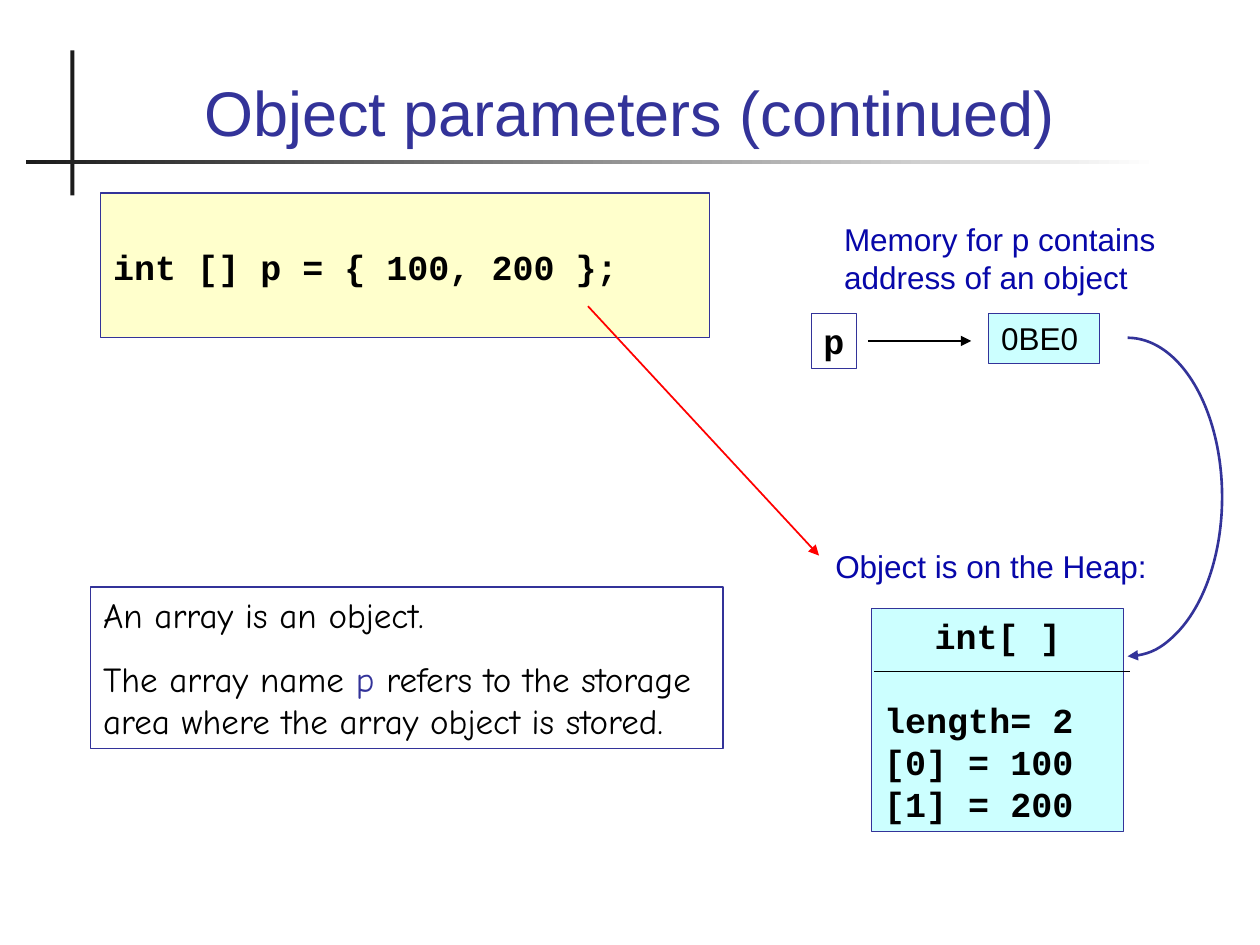
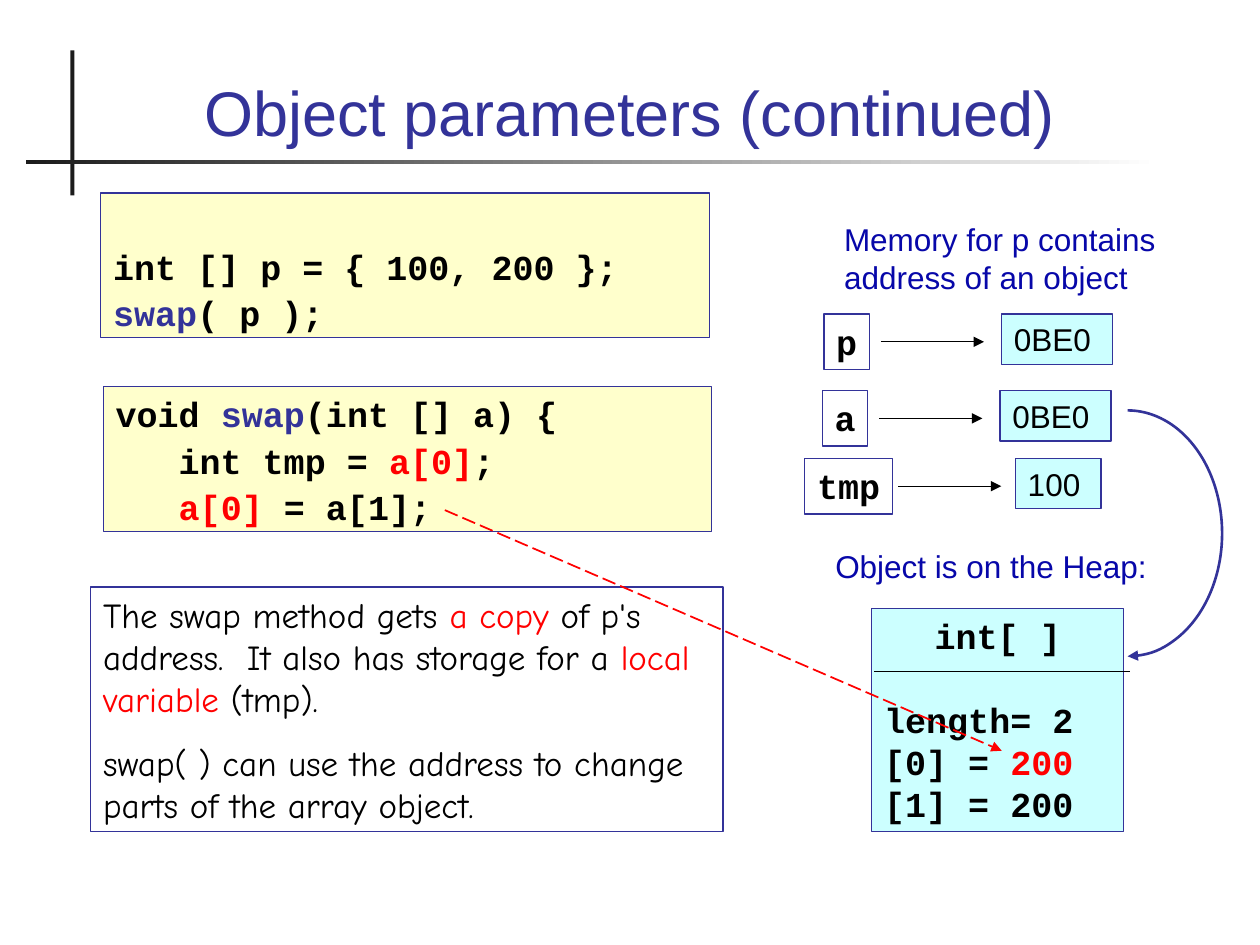
from lxml import etree
from pptx import Presentation
from pptx.dml.color import RGBColor
from pptx.enum.dml import MSO_LINE
from pptx.enum.shapes import MSO_CONNECTOR, MSO_SHAPE
from pptx.enum.text import MSO_ANCHOR, PP_ALIGN
from pptx.oxml.ns import qn
from pptx.util import Pt

RECT, ARC = MSO_SHAPE.RECTANGLE, MSO_SHAPE.ARC
STRAIGHT = MSO_CONNECTOR.STRAIGHT
LEFT, CENTER = PP_ALIGN.LEFT, PP_ALIGN.CENTER
TOP, BOTTOM = MSO_ANCHOR.TOP, MSO_ANCHOR.BOTTOM
LONG_DASH = MSO_LINE.LONG_DASH

INDIGO = RGBColor(0x33, 0x33, 0x99)
NAVY = RGBColor(0x07, 0x07, 0xA9)
BLACK = RGBColor(0, 0, 0)
DARK = RGBColor(0x1C, 0x1C, 0x1C)
WHITE = RGBColor(0xFF, 0xFF, 0xFF)
RED = RGBColor(0xFF, 0, 0)
CREAM = RGBColor(0xFF, 0xFF, 0xCC)
AQUA = RGBColor(0xCC, 0xFF, 0xFF)

CODE = {"name": "Courier New", "size": Pt(20), "bold": True}
NOTE = {"name": "Comic Neue", "size": Pt(20)}
BODY = {"name": "Arial", "size": Pt(18)}
TITLE = {"name": "Arial", "size": Pt(36), "bold": False}
LEADING = 1.2

ROW_H, CELL_H, ARROW_W = 31.7, 28.8, 59
HEAP = (498.2, 347.8, 144, 127.4)
HEAP_RULE_Y = 36
CURVE_END_Y = 375


def set_format(target, values):
    for name, value in values.items():
        setattr(target, name, value)


def write(tf, paragraphs, font, color=BLACK, align=LEFT, gap=0, wrap=True, top=3.6):
    """Fill a frame; a paragraph is a string or a list of strings and (text, colour) pairs."""
    set_format(tf, {"word_wrap": wrap, "vertical_anchor": TOP,
                    "margin_left": Pt(7.2), "margin_right": Pt(7.2),
                    "margin_top": Pt(top), "margin_bottom": Pt(3.6)})
    for i, runs in enumerate(paragraphs):
        p = tf.paragraphs[0] if i == 0 else tf.add_paragraph()
        set_format(p, {"alignment": align, "space_before": Pt(gap if i else 0),
                       "line_spacing": Pt(font["size"].pt * LEADING)})
        for run in [runs] if isinstance(runs, str) else runs:
            text, run_color = (run, color) if isinstance(run, str) else run
            r = p.add_run()
            r.text = text
            set_format(r.font, font)
            r.font.color.rgb = run_color


def add_box(slide, box, fill=None, line=INDIGO, shape=RECT):
    sp = slide.shapes.add_shape(shape, *map(Pt, box))
    sp.shadow.inherit = False
    if fill is None:
        sp.fill.background()
    else:
        sp.fill.solid()
        sp.fill.fore_color.rgb = fill
    if line is None:
        sp.line.fill.background()
    else:
        sp.line.color.rgb = line
        sp.line.width = Pt(0.75)
    return sp


def add_arrowhead(sp):
    ln = sp._element.spPr.get_or_add_ln()
    etree.SubElement(ln, qn("a:tailEnd"), type="triangle")


def add_line(slide, start, end, color=BLACK, width=0.75, dash=None, arrow=True):
    c = slide.shapes.add_connector(STRAIGHT, *map(Pt, (*start, *end)))
    c.line.color.rgb = color
    c.line.width = Pt(width)
    if dash:
        c.line.dash_style = dash
    if arrow:
        add_arrowhead(c)
    etree.SubElement(c._element.spPr, qn("a:effectLst"))


def add_titled_slide(prs, title):
    slide = prs.slides.add_slide(prs.slide_layouts[5])
    add_box(slide, (40.2, 28.8, 2.3, 82.8), DARK, None)
    bar = add_box(slide, (15, 91.4, 647.3, 2.3), DARK, None)
    bar.fill.gradient()
    bar.fill.gradient_angle = 0
    for stop, color in zip(bar.fill.gradient_stops, (DARK, WHITE)):
        stop.color.rgb = color
    sp = slide.shapes.title
    set_format(sp, dict(zip(("left", "top", "width", "height"),
                            map(Pt, (48.2, 20.2, 623.5, 68.4)))))
    write(sp.text_frame, [title], TITLE, INDIGO, CENTER)
    sp.text_frame.vertical_anchor = BOTTOM
    return slide


def add_code(slide, left, top, lines, skip=0):
    """Code panel whose text starts `skip` lines down."""
    gap = 2.5
    sp = add_box(slide, (left, top, 347.8, 82.8), CREAM)
    offset = skip * (CODE["size"].pt * LEADING + gap)
    write(sp.text_frame, lines, CODE, gap=gap, top=3.6 + offset)


def add_note(slide, height, paragraphs):
    sp = add_box(slide, (51.8, 335.5, 361.4, height))
    write(sp.text_frame, paragraphs, NOTE, gap=12.5)


def add_caption(slide, box, text):
    sp = slide.shapes.add_textbox(*map(Pt, box))
    write(sp.text_frame, [text], BODY, NAVY)


def add_variable(slide, left, top, name, value, name_w=25.9, value_w=63.4,
                 gaps=(6.5, 10)):
    """Name box, arrow and value cell in one row."""
    sp = add_box(slide, (left, top, name_w, ROW_H))
    write(sp.text_frame, [name], CODE, align=CENTER, wrap=False)
    start = left + name_w + gaps[0]
    end = start + ARROW_W
    add_line(slide, (start, top + ROW_H / 2), (end, top + ROW_H / 2))
    cell = add_box(slide, (end + gaps[1], top, value_w, CELL_H), AQUA)
    write(cell.text_frame, [value], BODY)


def add_heap(slide, first_value):
    left, top, width, height = HEAP
    add_caption(slide, (470.2, 308.9, 203, 28.8), "Object is on the Heap:")
    tf = add_box(slide, HEAP, AQUA).text_frame
    write(tf, ["int[ ]", "length= 2", ["[0] = ", first_value], "[1] = 200"], CODE)
    tf.paragraphs[0].alignment = CENTER
    tf.paragraphs[1].space_before = Pt(CODE["size"].pt * LEADING)
    y = top + HEAP_RULE_Y
    add_line(slide, (left + 1.4, y), (left + width + 3.6, y), arrow=False)


def add_memory(slide, curve_top, first_value):
    """Captions, heap object and the curve that leads from the address to it."""
    add_caption(slide, (475.2, 122.4, 209.5, 50.4),
                "Memory for p contains address of an object")
    sp = add_box(slide, (590.4, curve_top, 108, CURVE_END_Y - curve_top), shape=ARC)
    sp.adjustments[0], sp.adjustments[1] = 162, 54
    sp.line.width = Pt(1.5)
    add_arrowhead(sp)
    add_heap(slide, first_value)


def add_array_slide(prs, title, declaration):
    slide = add_titled_slide(prs, title)
    add_code(slide, 57.6, 110.2, [declaration], skip=1)
    add_variable(slide, 463.6, 179, "p", "0BE0 ")
    add_note(slide, 92.2, [
        "An array is an object.",
        ["The array name ", ("p", INDIGO),
         " refers to the storage area where the array object is stored."]])
    add_line(slide, (336, 175), (468, 317.5), RED, 1)
    add_memory(slide, 193, "100")


def add_swap_slide(prs, title, declaration):
    slide = add_titled_slide(prs, title)
    swap, first = ("swap", INDIGO), ("a[0]", RED)
    add_code(slide, 57.6, 110.2, [declaration, [swap, "( p );"]], skip=1)
    add_note(slide, 139.7, [
        ["The swap method gets ", ("a copy", RED),
         " of p's address.  It also has storage for a ",
         ("local variable", RED), " (tmp)."],
        "swap( ) can use the address to change parts of the array object."])
    add_memory(slide, 234.5, ("200", RED))
    add_code(slide, 59, 221, [["void ", swap, "(int [] a) {"],
                              ["   int tmp = ", first, ";"],
                              ["   ", first, " = a[1];"]])
    add_variable(slide, 470.9, 179.5, "p", "0BE0 ")
    add_variable(slide, 470, 223.2, "a", "0BE0 ")
    add_variable(slide, 459.8, 262, "tmp", "100 ", 50.4, 49, (3, 8))
    add_line(slide, (254.2, 291.5), (572.4, 429), RED, 1, LONG_DASH)


def main():
    prs = Presentation()
    prs.slide_width, prs.slide_height = Pt(720), Pt(540)
    title = "Object parameters (continued)"
    declaration = "int [] p = { 100, 200 };"
    add_array_slide(prs, title, declaration)
    add_swap_slide(prs, title, declaration)
    prs.save("out.pptx")


if __name__ == "__main__":
    main()
